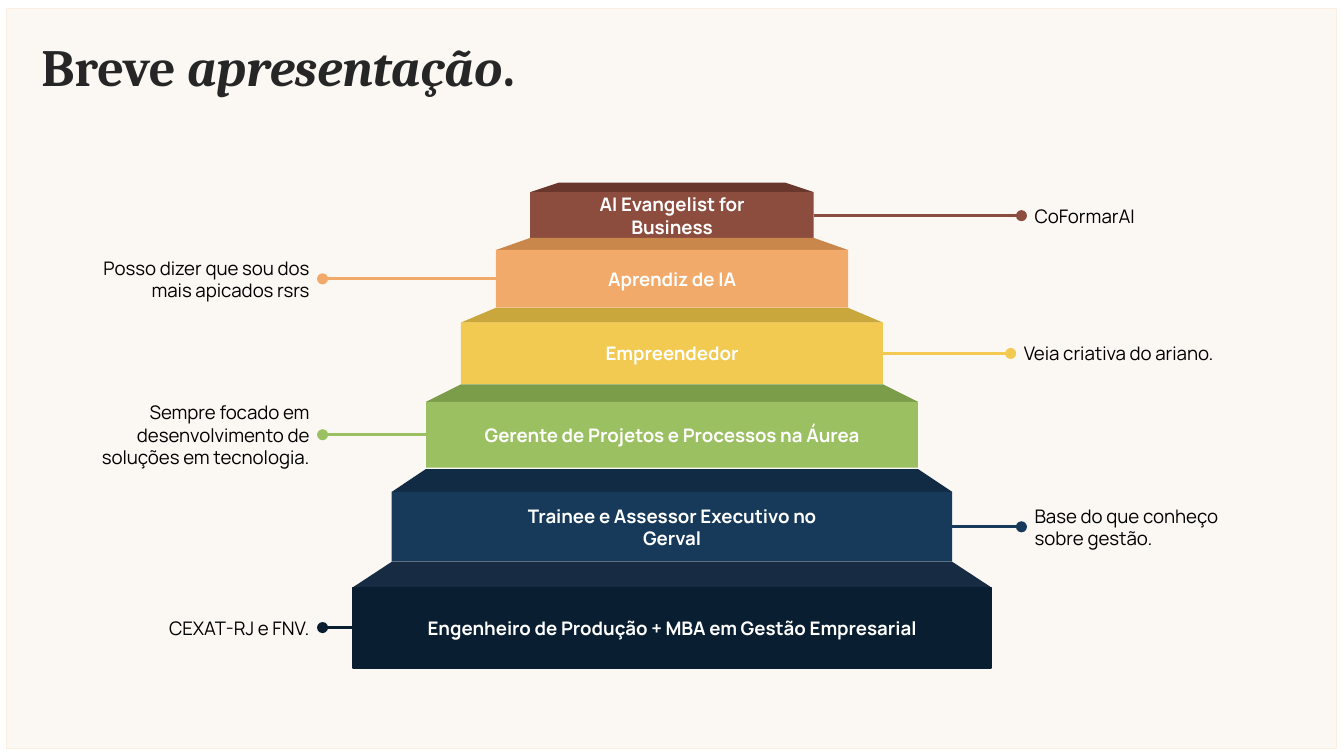
from pptx import Presentation
from pptx import util as u
from pptx.dml.color import RGBColor
from pptx.enum import shapes, text
from lxml import etree

IN = u.Inches
A = "{http://schemas.openxmlformats.org/drawingml/2006/main}"
BOX = shapes.MSO_SHAPE.RECTANGLE
ALIGN = text.PP_ALIGN

THEME = dict(page="FBF8F3", edge="FCEEE1", ink="262626", note="000000", white="FFFFFF",
             head="Cambria", body="Manrope", big=28, small=10, rule=1.5)

# Content: title runs (text, italic), then tiers from top to bottom
TITLE = [("Breve ", False), ("apresentação", True), (".", False)]
TIERS = [
    dict(name="AI Evangelist for Business", note="CoFormarAI", side="right", reach=7.6,
         front="8C4D3E", lid="69372B", span=2.11, ys=(1.36, 1.43, 1.78), wide=1.85),
    dict(name="Aprendiz de IA", note="Posso dizer que sou dos mais apicados rsrs",
         side="left", reach=2.4,
         front="F2AA6A", lid="CA874C", span=2.62, ys=(1.77, 1.86, 2.29), wide=1.85),
    dict(name="Empreendedor", note="Veia criativa do ariano.", side="right", reach=7.52,
         front="F2CA51", lid="CAA73C", span=3.14, ys=(2.29, 2.4, 2.86), wide=1.85),
    dict(name="Gerente de Projetos e Processos na Áurea",
         note="Sempre focado em desenvolvimento de soluções em tecnologia.",
         side="left", reach=2.4,
         front="9BC062", lid="7B9C48", span=3.66, ys=(2.86, 2.99, 3.48), wide=3.66),
    dict(name="Trainee e Assessor Executivo no Gerval", note="Base do que conheço sobre gestão.",
         side="right", reach=7.6,
         front="183A5A", lid="112B44", span=4.17, ys=(3.49, 3.66, 4.18), wide=2.72),
    dict(name="Engenheiro de Produção + MBA em Gestão Empresarial", note="CEXAT-RJ e FNV.",
         side="left", reach=2.4, line="091E30",
         front="091E30", lid="172C42", span=4.75, ys=(4.18, 4.37, 4.97), wide=4.38),
]
MID, PEAK = 5, 1.69          # pyramid axis, width of the topmost edge
NOTE_W, NOTE_H, NAME_H = 1.9, 0.37, 0.29


def rgb(code):
    return RGBColor.from_string(code)


def paint(shape, fill, line=None, width=0.25):
    shape.shadow.inherit = False
    shape.fill.solid()
    shape.fill.fore_color.rgb = rgb(fill)
    if line:
        shape.line.color.rgb = rgb(line)
        shape.line.width = u.Pt(width)
    else:
        shape.line.fill.background()
    return shape


def block(x, y, w, h, *look):
    return paint(slide.shapes.add_shape(BOX, IN(x), IN(y), IN(w), IN(h)), *look)


def label(x, y, w, h, runs, align, font, space=None):
    box = slide.shapes.add_textbox(IN(x), IN(y), IN(w), IN(h))
    frame = box.text_frame
    form = dict(word_wrap=True, vertical_anchor=text.MSO_ANCHOR.MIDDLE)
    form.update({"margin_" + s: IN(0.1) for s in ("left", "top", "right", "bottom")})
    for key, val in form.items():
        setattr(frame, key, val)
    para = frame.paragraphs[0]
    para.alignment = align
    if space:
        para.line_spacing = space
    face, size, bold, color = font
    for words, slant in runs:
        run = para.add_run()
        run.text = words
        form = dict(name=face, size=u.Pt(size), bold=bold, italic=slant)
        for key, val in form.items():
            setattr(run.font, key, val)
        run.font.color.rgb = rgb(color)
    return box


def link(front, note, side, color):
    line = slide.shapes.add_connector(shapes.MSO_CONNECTOR.STRAIGHT, 0, 0, 0, 0)
    start, end = (3, 1) if side == "right" else (1, 3)
    line.begin_connect(front, start)
    line.end_connect(note, end)
    line.line.color.rgb = rgb(color)
    line.line.width = u.Pt(THEME["rule"])
    etree.SubElement(line.line._get_or_add_ln(), A + "tailEnd", type="oval")
    etree.SubElement(line._element.spPr, A + "effectLst")


def tier(data, above):
    top, fold, base = data["ys"]
    span, mid = data["span"], (fold + base) / 2
    half, tip = span / 2, above / 2

    # Sloping lid, narrowing to the width of the tier above
    pen = slide.shapes.build_freeform(IN(MID - half), IN(fold), scale=1.0)
    pen.add_line_segments([(IN(MID + half), IN(fold)), (IN(MID + tip), IN(top)),
                           (IN(MID - tip), IN(top))], close=True)
    paint(pen.convert_to_shape(), data["lid"])

    # Front face and its name
    front = block(MID - half, fold, span, base - fold, data["front"], data.get("line"), 0.75)
    label(MID - data["wide"] / 2, mid - NAME_H / 2, data["wide"], NAME_H,
          [(data["name"], False)], ALIGN.CENTER,
          (THEME["body"], THEME["small"], True, THEME["white"]))

    # Side note and its connector
    right = data["side"] == "right"
    x = data["reach"] - (0 if right else NOTE_W)
    note = label(x, mid - NOTE_H / 2, NOTE_W, NOTE_H, [(data["note"], False)],
                 ALIGN.LEFT if right else ALIGN.RIGHT,
                 (THEME["body"], THEME["small"], False, THEME["note"]))
    link(front, note, data["side"], data["front"])


# Widescreen slide, 16 to 9
deck = Presentation()
deck.slide_width, deck.slide_height = IN(10), IN(10 * 9 / 16)
slide = deck.slides.add_slide(deck.slide_layouts[6])

# Page panel and title
block(0.05, 0.06, 9.89, 5.51, THEME["page"], THEME["edge"])
label(0.21, 0.25, 9.73, 0.53, TITLE, ALIGN.LEFT,
      (THEME["head"], THEME["big"], True, THEME["ink"]), 0.9)

# Pyramid
above = PEAK
for data in TIERS:
    tier(data, above)
    above = data["span"]

deck.save("out.pptx")
